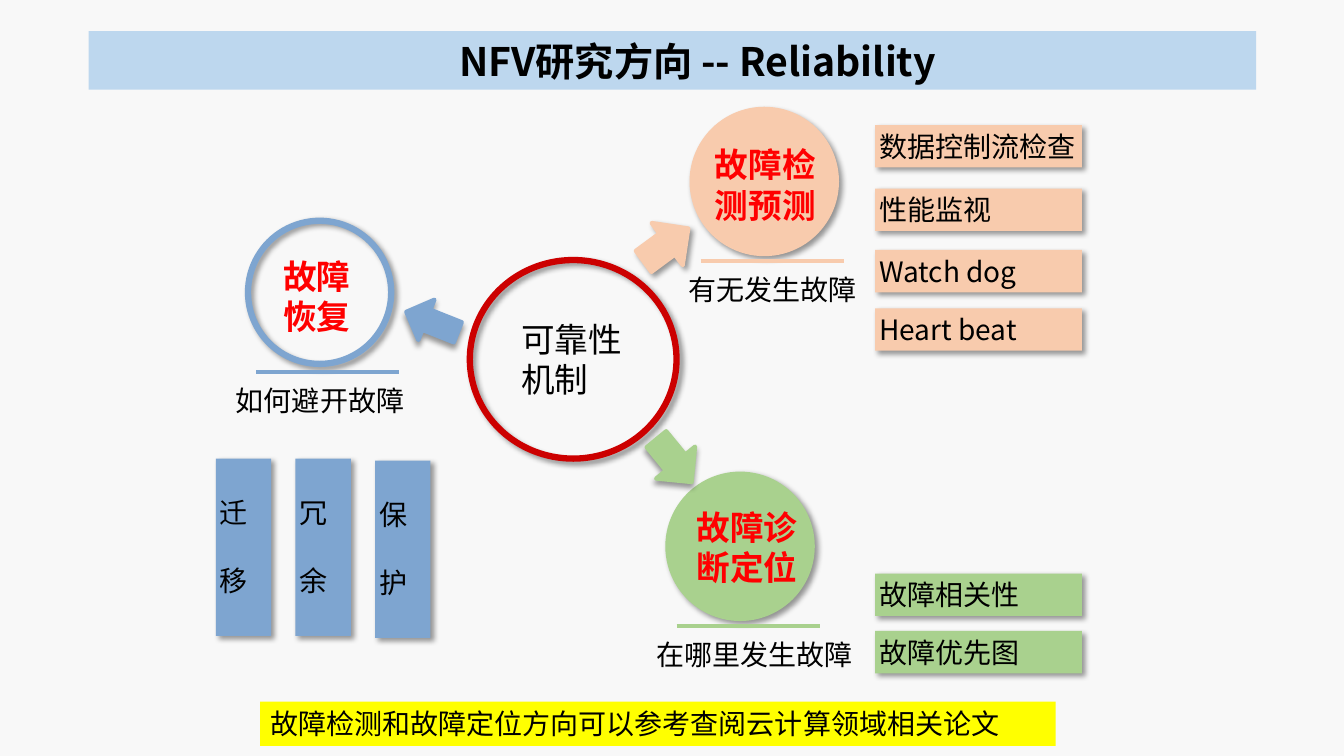
"""Build the NFV reliability slide: a hub with three fault-handling branches."""
import lxml.etree
import pptx
import pptx.dml.color
import pptx.enum.shapes
import pptx.enum.text
import pptx.oxml.ns
import pptx.util
from dataclasses import dataclass

SHAPE = pptx.enum.shapes.MSO_SHAPE
ALIGN = pptx.enum.text.PP_ALIGN
ANCHOR = pptx.enum.text.MSO_ANCHOR
Inches = pptx.util.Inches
qn = pptx.oxml.ns.qn


@dataclass(frozen=True)
class Theme:
    font: str = "Noto Sans CJK SC"
    page: str = "F8F8F8"
    banner: str = "BDD7EE"
    note: str = "FFFF00"
    hub: str = "CC0000"
    peach: str = "F8CBAD"
    green: str = "A9D18E"
    blue: str = "7EA5D0"
    ink: str = "000000"
    alert: str = "FF0000"
    title_size: int = 28
    label_size: int = 24
    body_size: int = 20
    outline: float = 4.5
    rule: float = 3


THEME = Theme()
TITLE = ("NFV研究方向 -- Reliability", (0.88, 0.31, 11.58, 0.58))
NOTE = ("故障检测和故障定位方向可以参考查阅云计算领域相关论文", (2.58, 6.96, 7.89, 0.44))
HUB = ("可靠性\n机制", (4.66, 2.58, 2.05, 1.97), (5.13, 3.12, 1.47, 0.89))

BRANCHES = [
    dict(color=THEME.peach, filled=True, circle=(6.87, 1.09),
         label="故障检测预测", label_offset=(0.18, 0.30), label_width=1.1,
         caption="有无发生故障", caption_offset=-0.08, caption_width=1.81,
         arrow=(6.33, 2.17, 0.55, 0.52), turn=323.6, shadow_angle=45),
    dict(color=THEME.green, filled=True, circle=(6.63, 4.71),
         label="故障诊断定位", label_offset=(0.24, 0.28), label_width=1.1,
         caption="在哪里发生故障", caption_offset=-0.16, caption_width=2.05,
         arrow=(6.41, 4.32, 0.55, 0.50), turn=50.6, shadow_angle=90),
    dict(color=THEME.blue, filled=False, circle=(2.46, 2.19),
         label="故障恢复", label_offset=(0.31, 0.31), label_width=0.94,
         caption="如何避开故障", caption_offset=-0.16, caption_width=1.97,
         arrow=(4.01, 2.98, 0.55, 0.43), turn=201.7, shadow_angle=90),
]
METHODS = [
    ("数据控制流检查", 1.24, THEME.peach),
    ("性能监视", 1.87, THEME.peach),
    ("Watch dog", 2.48, THEME.peach),
    ("Heart beat", 3.06, THEME.peach),
    ("故障相关性", 5.69, THEME.green),
    ("故障优先图", 6.26, THEME.green),
]
RECOVERY = [("迁\n移", 4.55), ("冗\n余", 4.55), ("保\n护", 4.57)]

DIAMETER = 1.42
RULE_OFFSET = (0.08, 1.5)
CAPTION_DROP = 1.57
LINE_HEIGHT = 0.42
LABEL_HEIGHT = 0.89
METHOD_LEFT, METHOD_WIDTH = 8.68, 2.05
TILE_LEFT, TILE_STEP, TILE_SIZE = 2.14, 0.79, (0.55, 1.76)
TILE_TOP_INSET, TILE_GAP = 0.37, 24
INSET = 0.04


def rgb(value):
    return pptx.dml.color.RGBColor.from_string(value)


def add_shadow(shape, angle):
    effects = shape._element.spPr.find(qn("a:effectLst"))
    shadow = lxml.etree.SubElement(
        effects, qn("a:outerShdw"), blurRad=str(pptx.util.Pt(4)),
        dist=str(pptx.util.Pt(3)), dir=str(angle * 60000), rotWithShape="0")
    color = lxml.etree.SubElement(shadow, qn("a:srgbClr"), val=THEME.ink)
    lxml.etree.SubElement(color, qn("a:alpha"), val="40000")


def add_box(page, kind, area, fill=None, line=None, width=0, shadow=None):
    box = page.shapes.add_shape(kind, *map(Inches, area))
    box.shadow.inherit = False
    if fill:
        box.fill.solid()
        box.fill.fore_color.rgb = rgb(fill)
    else:
        box.fill.background()
    if line:
        box.line.color.rgb = rgb(line)
        box.line.width = pptx.util.Pt(width)
    else:
        box.line.fill.background()
    if shadow is not None:
        add_shadow(box, shadow)
    return box


def write(box, text, size=THEME.body_size, color=THEME.ink, bold=False,
          align=ALIGN.LEFT, anchor=ANCHOR.TOP, inset=INSET, top=INSET,
          side=INSET, gap=0, indent=0, spacing=None):
    frame = box.text_frame
    frame.word_wrap = True
    frame.vertical_anchor = anchor
    frame.margin_left = frame.margin_right = Inches(side)
    frame.margin_top, frame.margin_bottom = Inches(top), Inches(inset)
    for index, line in enumerate(text.split("\n")):
        para = frame.add_paragraph() if index else frame.paragraphs[0]
        para.alignment = align
        if index:
            para.space_before = pptx.util.Pt(gap)
        if spacing:
            para.line_spacing = pptx.util.Pt(spacing)
        if indent:
            para._p.get_or_add_pPr().set("marL", str(Inches(indent)))
        span = para.add_run()
        span.text = line
        span.font.name = THEME.font
        span.font.size = pptx.util.Pt(size)
        span.font.bold = bold
        span.font.color.rgb = rgb(color)
        lxml.etree.SubElement(span._r.rPr, qn("a:ea"), typeface=THEME.font)


def add_text(page, area, text, **style):
    write(page.shapes.add_textbox(*map(Inches, area)), text, **style)


def add_rule(page, left, top, color):
    rule = page.shapes.add_connector(
        pptx.enum.shapes.MSO_CONNECTOR.STRAIGHT,
        *map(Inches, (left, top, left + DIAMETER, top)))
    rule.line.color.rgb = rgb(color)
    rule.line.width = pptx.util.Pt(THEME.rule)
    lxml.etree.SubElement(rule._element.spPr, qn("a:effectLst"))


def add_branch(page, branch):
    left, top = branch["circle"]
    color = branch["color"]
    add_box(page, SHAPE.OVAL, (left, top, DIAMETER, DIAMETER),
            color if branch["filled"] else None, color, THEME.outline, 45)
    across, down = branch["label_offset"]
    add_text(page, (left + across, top + down, branch["label_width"], LABEL_HEIGHT),
             branch["label"], size=THEME.label_size, color=THEME.alert, bold=True)
    add_rule(page, left + RULE_OFFSET[0], top + RULE_OFFSET[1], color)
    add_text(page, (left + branch["caption_offset"], top + CAPTION_DROP,
                    branch["caption_width"], LINE_HEIGHT), branch["caption"])
    arrow = add_box(page, SHAPE.RIGHT_ARROW, branch["arrow"], color, color,
                    THEME.rule, branch["shadow_angle"])
    arrow.rotation = branch["turn"]


def main():
    deck = pptx.Presentation()
    deck.slide_width, deck.slide_height = Inches(13.33), Inches(7.5)
    page = deck.slides.add_slide(deck.slide_layouts[6])
    page.background.fill.solid()
    page.background.fill.fore_color.rgb = rgb(THEME.page)

    title, area = TITLE
    write(add_box(page, SHAPE.RECTANGLE, area, THEME.banner), title,
          size=THEME.title_size, bold=True, align=ALIGN.CENTER,
          anchor=ANCHOR.MIDDLE, side=0.1, indent=0.5, spacing=34)

    hub, circle, area = HUB
    add_box(page, SHAPE.OVAL, circle, None, THEME.hub, THEME.outline, 45)
    add_text(page, area, hub, size=THEME.label_size)

    for branch in BRANCHES:
        add_branch(page, branch)
    for index, (text, top) in enumerate(RECOVERY):
        area = (TILE_LEFT + index * TILE_STEP, top, *TILE_SIZE)
        write(add_box(page, SHAPE.RECTANGLE, area, THEME.blue, shadow=45), text,
              top=TILE_TOP_INSET, gap=TILE_GAP)
    for text, top, color in METHODS:
        area = (METHOD_LEFT, top, METHOD_WIDTH, LINE_HEIGHT)
        write(add_box(page, SHAPE.RECTANGLE, area, color, shadow=45), text)

    note, area = NOTE
    write(add_box(page, SHAPE.RECTANGLE, area, THEME.note), note,
          anchor=ANCHOR.MIDDLE, side=0.1)
    deck.save("out.pptx")


if __name__ == "__main__":
    main()
